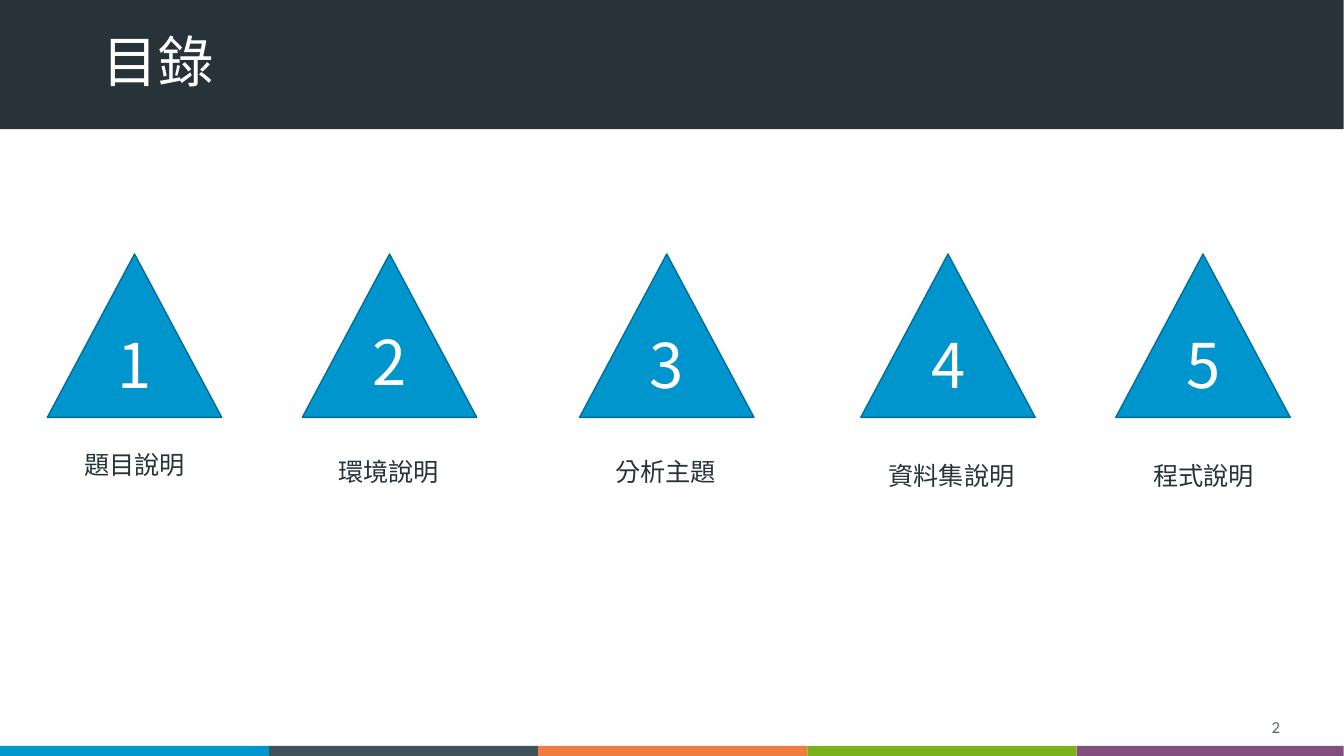
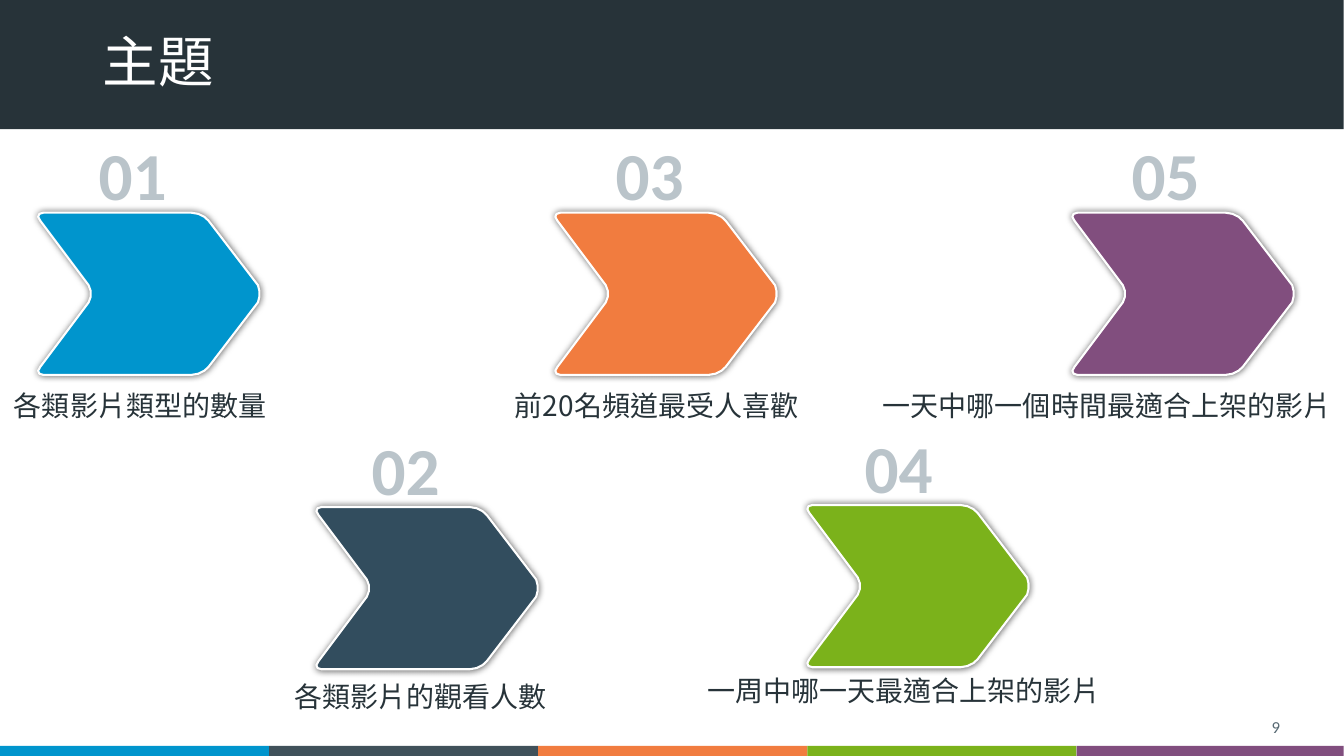
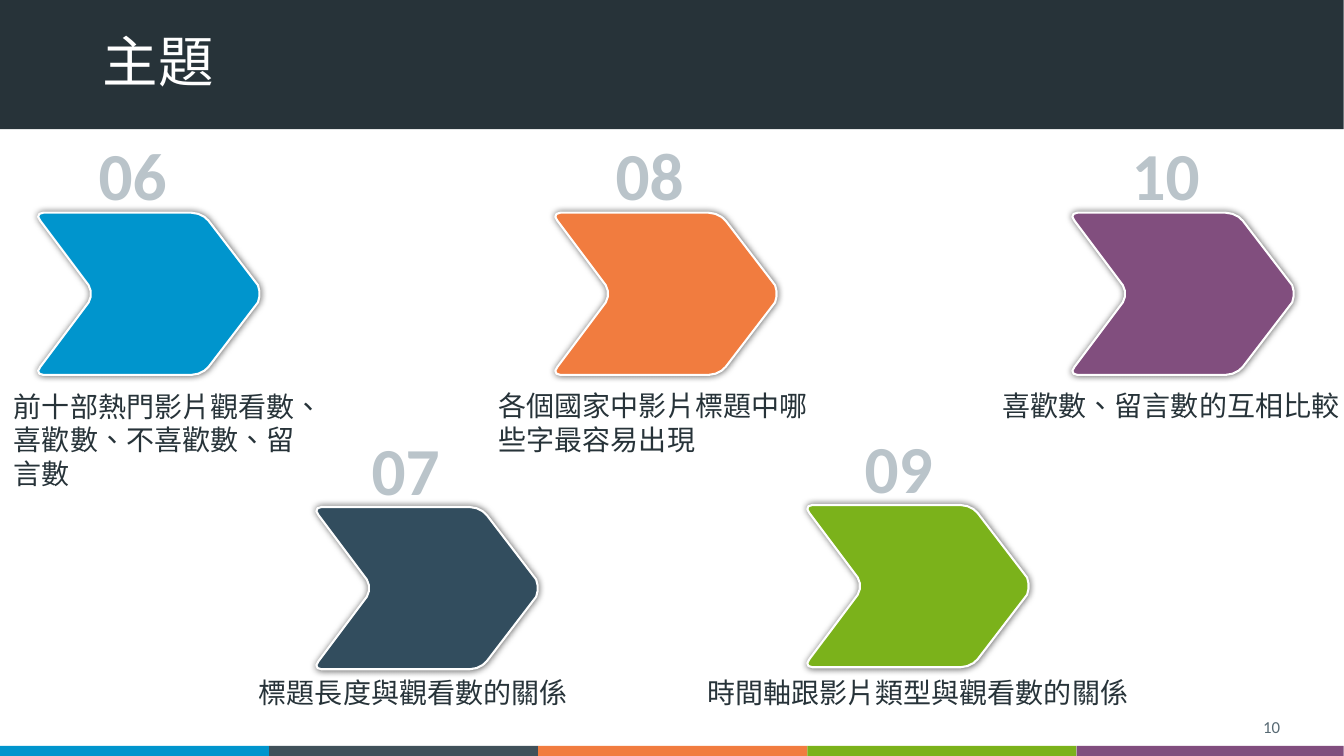
from lxml import etree
from pptx import Presentation
from pptx import util as u
from pptx.dml.color import RGBColor
from pptx.enum import lang, shapes, text
from pptx.oxml import ns

PX = 9144
W, H = 1333, 750
NOTO, CALIBRI = "Noto Sans CJK SC", "Calibri"
COLORS = {
    "dark": "273339", "white": "FFFFFF", "blue": "0095CD", "edge": "006E98",
    "slate": "40515A", "navy": "324D5E", "orange": "F17C3F", "green": "7BB21B",
    "purple": "814E7E", "page": "576973", "number": "BAC4CA",
}
STRIPES = ["blue", "slate", "orange", "green", "purple"]
CHEVRON_CORNERS = [
    [(171, 153), (168, 157), (161, 161), (154, 161)],
    [(7, 161), (2, 161), (0, 157), (4, 153)],
    [(52, 89), (55, 84), (55, 77), (52, 72)],
    [(4, 8), (0, 4), (2, 0), (7, 0)],
    [(154, 0), (161, 0), (168, 4), (171, 8)],
    [(220, 72), (222, 77), (222, 84), (220, 89)],
]
CHEVRONS = [
    (36, 211, "blue", 87), (312, 503, "navy", 358), (549, 211, "orange", 600),
    (799, 501, "green", 847), (1062, 211, "purple", 1112),
]


def bezier(corner, steps=3):
    for i in range(steps + 1):
        t = i / steps
        weights = ((1 - t) ** 3, 3 * t * (1 - t) ** 2, 3 * t * t * (1 - t), t ** 3)
        yield tuple(sum(k * pt[axis] for k, pt in zip(weights, corner)) for axis in (0, 1))


class Deck:
    """Holds the shared style and the slide being built."""

    def __init__(self):
        self.prs = Presentation()
        self.prs.slide_width, self.prs.slide_height = u.Inches(40 / 3), H * PX

    def slide(self, title, page, font=CALIBRI):
        self.s = self.prs.slides.add_slide(self.prs.slide_layouts[6])
        self.shape("RECTANGLE", 0, -1, W, 129, "dark")
        for i, color in enumerate(STRIPES):
            x = i * 267
            self.shape("RECTANGLE", x, 740, min(267, W - x), 10, color)
        p = self.text(title, 92, 27, 1150, 74, 39.6, "white", font, anchor="MIDDLE", grow=False)
        p.line_spacing = 0.9
        self.text(page, 980, 706, 300, 31, 12, "page", CALIBRI, "RIGHT", "MIDDLE", grow=False)

    def paint(self, sp, fill, line=None, width=1):
        sp.shadow.inherit = False
        sp.fill.solid()
        sp.fill.fore_color.rgb = RGBColor.from_string(COLORS[fill])
        if line:
            sp.line.color.rgb = RGBColor.from_string(COLORS[line])
            sp.line.width = u.Pt(width)
        else:
            sp.line.fill.background()

    def shape(self, kind, x, y, w, h, fill, line=None):
        sp = self.s.shapes.add_shape(shapes.MSO_SHAPE[kind], x * PX, y * PX, w * PX, h * PX)
        self.paint(sp, fill, line)

    def text(self, words, x, y, w, h, size, color, font=NOTO, align="LEFT",
             anchor="TOP", bold=False, wrap=True, grow=True):
        tf = self.s.shapes.add_textbox(x * PX, y * PX, w * PX, h * PX).text_frame
        tf.word_wrap = wrap
        tf.auto_size = text.MSO_AUTO_SIZE["SHAPE_TO_FIT_TEXT" if grow else "NONE"]
        tf.vertical_anchor = text.MSO_ANCHOR[anchor]
        p = tf.paragraphs[0]
        r = p.add_run()
        r.text = words
        r.font.language_id = lang.MSO_LANGUAGE_ID.TRADITIONAL_CHINESE
        p.alignment = text.PP_ALIGN[align]
        p.font.size = u.Pt(size)
        p.font.bold = bold
        p.font.name = font
        p.font.color.rgb = RGBColor.from_string(COLORS[color])
        latin = p._p.pPr.find(".//" + ns.qn("a:latin"))
        latin.addnext(etree.Element(ns.qn("a:ea"), typeface=NOTO))
        return p

    def chevron(self, x, y, fill):
        points = [((x + px) * PX, (y + py) * PX)
                  for corner in CHEVRON_CORNERS for px, py in bezier(corner)]
        outline = self.s.shapes.build_freeform(*points[0], scale=1.0)
        outline.add_line_segments(points[1:], close=True)
        sp = outline.convert_to_shape()
        self.paint(sp, fill, "white", 1.5)
        effects = sp._element.spPr.find(ns.qn("a:effectLst"))
        shadow = etree.SubElement(effects, ns.qn("a:outerShdw"), blurRad=str(u.Pt(5)),
                                  dist="0", dir="0", algn="ctr", rotWithShape="0")
        black = etree.SubElement(shadow, ns.qn("a:srgbClr"), val="000000")
        etree.SubElement(black, ns.qn("a:alpha"), val="60000")

    def contents(self, entries):
        for i, (x, number_y, label, label_x, label_y, label_w, wrap) in enumerate(entries, 1):
            self.shape("ISOSCELES_TRIANGLE", x, 252, 173, 162, "blue", "edge")
            self.text(str(i), x + 60, number_y, 53, 84, 44, "white")
            self.text(label, label_x, label_y, label_w, 40, 18, "dark",
                      align="CENTER", anchor="BOTTOM", wrap=wrap)

    def topics(self, first, captions):
        for i, (x, y, color, number_x) in enumerate(CHEVRONS):
            self.chevron(x, y, color)
            self.text(f"{first + i:02}", number_x, y - 84, 89, 91, 48, "number", CALIBRI,
                      "CENTER", "MIDDLE", bold=True, wrap=False)
        for words, x, y, w, h in captions:
            self.text(words, x, y, w, h, 20, "dark")


def main():
    deck = Deck()
    deck.slide("目錄", "2", NOTO)
    deck.contents([
        (47, 319, "題目說明", 73, 441, 121, True),
        (300, 316, "環境說明", 325, 448, 121, False),
        (575, 319, "分析主題", 581, 448, 159, True),
        (854, 319, "資料集說明", 871, 452, 146, False),
        (1107, 319, "程式說明", 1125, 452, 138, True),
    ])
    deck.slide("主題", "9")
    deck.topics(1, [
        ("各類影片類型的數量", 4, 381, 278, 44),
        ("各類影片的觀看人數", 282, 669, 331, 44),
        ("前20名頻道最受人喜歡", 501, 381, 331, 44),
        ("一周中哪一天最適合上架的影片", 692, 663, 435, 44),
        ("一天中哪一個時間最適合上架的影片", 866, 381, 467, 44),
    ])
    deck.slide("主題", "10")
    deck.topics(6, [
        ("前十部熱門影片觀看數、喜歡數、不喜歡數、留言數", 4, 381, 301, 111),
        ("標題長度與觀看數的關係", 247, 665, 331, 44),
        ("各個國家中影片標題中哪些字最容易出現", 485, 381, 347, 77),
        ("時間軸跟影片類型與觀看數的關係", 692, 665, 571, 44),
        ("喜歡數、留言數的互相比較", 985, 381, 360, 44),
    ])
    deck.prs.save("out.pptx")


if __name__ == "__main__":
    main()
